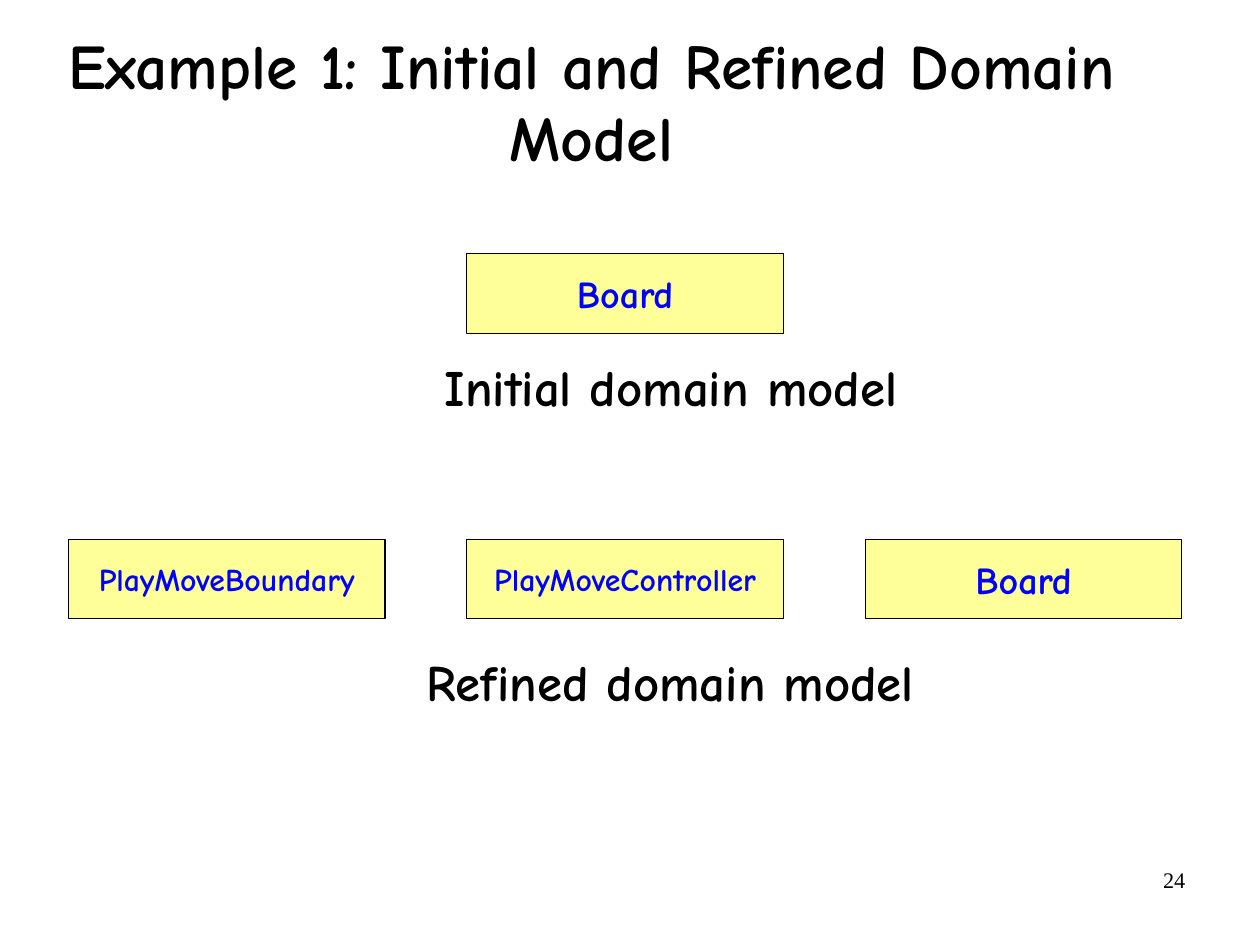
from dataclasses import dataclass

from pptx import Presentation
from pptx.dml.color import RGBColor
from pptx.enum.shapes import MSO_SHAPE
from pptx.enum.text import MSO_ANCHOR, PP_ALIGN
from pptx.util import Inches, Pt


@dataclass(frozen=True)
class Theme:
    font: str = "Comic Neue"
    number_font: str = "Times New Roman"
    ink: RGBColor = RGBColor(0x00, 0x00, 0x00)
    class_fill: RGBColor = RGBColor(0xFF, 0xFF, 0x99)
    class_ink: RGBColor = RGBColor(0x00, 0x00, 0xFF)
    title_size: int = 40
    caption_size: int = 32
    class_size: int = 24
    long_class_size: int = 20
    number_size: int = 14


THEME = Theme()
POINTS_PER_INCH = 72
CLASS_WIDTH = 2.77
ROW_LEFT, LAST_CLASS_LEFT = 0.6, 7.57
CLASS_STEP = (LAST_CLASS_LEFT - ROW_LEFT) / 2


def write(frame, text, size, color=THEME.ink, font=THEME.font, bold=True,
          align=PP_ALIGN.LEFT, margins=(0, 0)):
    """Put one styled run in a text frame and return its paragraph."""
    frame.margin_left = frame.margin_right = Inches(margins[0])
    frame.margin_top = frame.margin_bottom = Inches(margins[1])
    para = frame.paragraphs[0]
    para.alignment = align
    span = para.add_run()
    span.text = text
    span.font.name = font
    span.font.size = Pt(size)
    span.font.bold = bold
    span.font.color.rgb = color
    return para


def add_text_box(page, box, wrap=True):
    frame = page.shapes.add_textbox(*map(Inches, box)).text_frame
    frame.word_wrap = wrap
    return frame


def add_title(page, box, text):
    frame = add_text_box(page, box)
    frame.vertical_anchor = MSO_ANCHOR.MIDDLE
    para = write(frame, text, THEME.title_size, align=PP_ALIGN.CENTER,
                 margins=(0.02, 0.06))
    para.line_spacing = 0.94
    para.space_before = Pt(8.1)


def add_class(page, box, name, size):
    shape = page.shapes.add_shape(MSO_SHAPE.RECTANGLE, *map(Inches, box))
    shape.shadow.inherit = False
    shape.fill.solid()
    shape.fill.fore_color.rgb = THEME.class_fill
    shape.line.color.rgb = THEME.ink
    shape.line.width = Pt(0.75)
    frame = shape.text_frame
    frame.vertical_anchor = MSO_ANCHOR.MIDDLE
    para = write(frame, name, size, THEME.class_ink, align=PP_ALIGN.CENTER)
    para.space_before = Pt(11.2)


def add_model(page, box, classes, caption, caption_box):
    """Place a row of classes in the box, with a caption below its top."""
    left, top, height = box
    for index, (name, size) in enumerate(classes):
        add_class(page, (left + index * CLASS_STEP, top, CLASS_WIDTH, height), name, size)
    caption_left, drop, caption_width = caption_box
    frame = add_text_box(page, (caption_left, top + drop, caption_width, 0.64), wrap=False)
    write(frame, caption, THEME.caption_size, margins=(0.11, 0.06))


def add_page_number(page, box, number):
    write(add_text_box(page, box), number, THEME.number_size, font=THEME.number_font,
          bold=False, align=PP_ALIGN.RIGHT, margins=(0.1, 0.05))


def main():
    deck = Presentation()
    deck.slide_width = Inches(793.75 / POINTS_PER_INCH)
    deck.slide_height = Inches(595.25 / POINTS_PER_INCH)
    page = deck.slides.add_slide(deck.slide_layouts[6])

    # Heading and page number
    add_page_number(page, (7.9, 7.53, 2.57, 0.57), "24")
    add_title(page, (0.49, 0.2, 9.37, 1.42), "Example 1: Initial and Refined Domain Model")

    # The two domain models
    board = ("Board", THEME.class_size)
    add_model(page, (ROW_LEFT + CLASS_STEP, 2.22, 0.7), [board],
              "Initial domain model", (3.78, 0.83, 4.19))
    refined = [("PlayMoveBoundary", THEME.long_class_size),
               ("PlayMoveController", THEME.long_class_size), board]
    add_model(page, (ROW_LEFT, 4.72, 0.69), refined,
              "Refined domain model", (3.62, 0.91, 4.49))

    deck.save("out.pptx")


if __name__ == "__main__":
    main()
